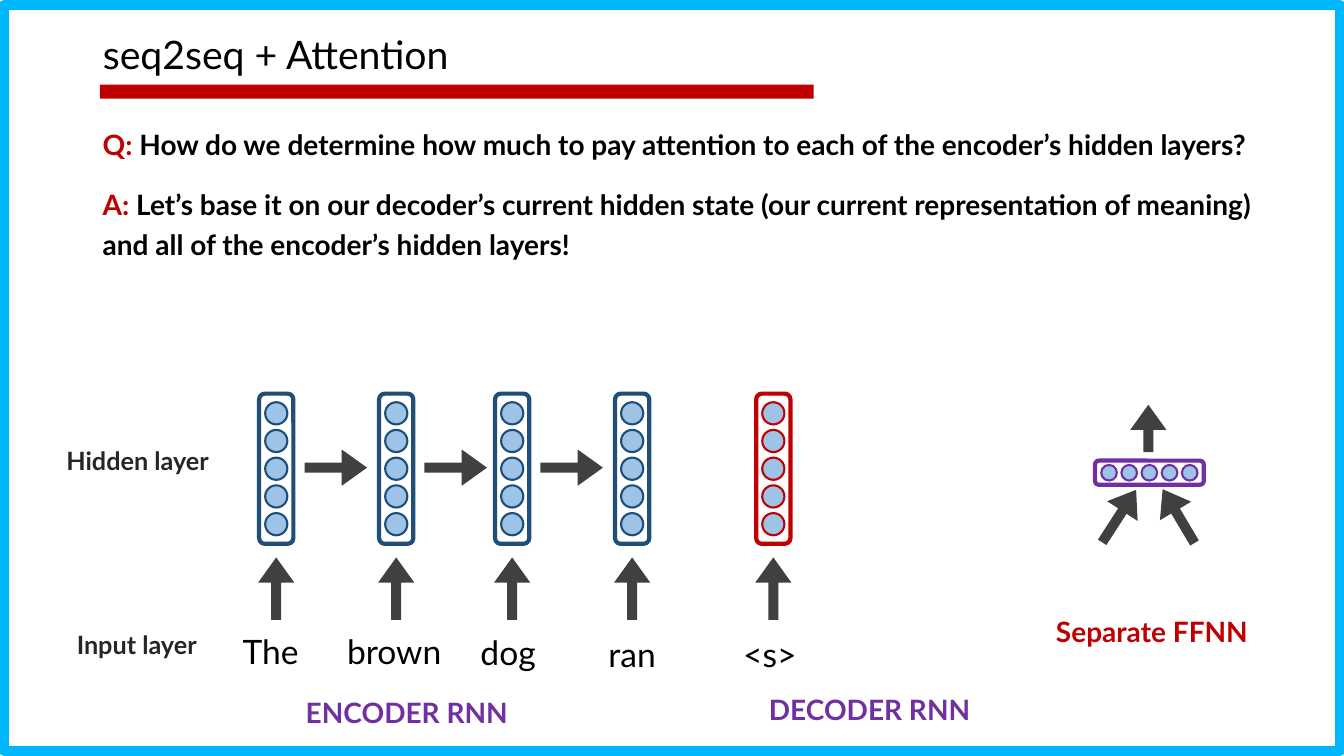
from dataclasses import dataclass

from pptx import Presentation
from pptx.dml.color import RGBColor
from pptx.enum.shapes import MSO_SHAPE
from pptx.enum.text import MSO_ANCHOR, MSO_AUTO_SIZE, PP_ALIGN
from pptx.util import Inches, Pt

RECTANGLE, ROUNDED = MSO_SHAPE.RECTANGLE, MSO_SHAPE.ROUNDED_RECTANGLE
OVAL, ARROW = MSO_SHAPE.OVAL, MSO_SHAPE.RIGHT_ARROW
LEFT, CENTER, RIGHT = PP_ALIGN.LEFT, PP_ALIGN.CENTER, PP_ALIGN.RIGHT
TITLE_ONLY = 5
UP = 270
NEURONS = 5


@dataclass(frozen=True)
class Theme:
    font: str = "Lato"
    title_size: int = 28
    word_size: int = 24
    text_size: int = 20
    label_size: int = 18
    black: str = "000000"
    label: str = "262626"
    frame: str = "00B6FC"
    red: str = "C00000"
    purple: str = "7030A0"
    encoder: str = "1F4E79"
    neuron: str = "9DC3E6"
    arrow: str = "404040"


THEME = Theme()

# Word, centre of its column, then left, top and width of its text box
ENCODER_INPUTS = [
    ("The", 2.74, 2.29, 6.13, 0.77, RIGHT),
    ("brown", 3.93, 3.23, 6.13, 1.36, CENTER),
    ("dog", 5.08, 4.36, 6.14, 1.36, CENTER),
    ("ran", 6.27, 5.59, 6.16, 1.36, CENTER),
]
DECODER_INPUT = ("<s>", 7.67, 7.24, 6.16, 0.79, CENTER)
LAYER_Y = 4.65


def color(value):
    return RGBColor.from_string(value)


def set_font(font, size, ink, bold=False):
    font.name = THEME.font
    font.size = Pt(size)
    font.bold = bold
    font.color.rgb = color(ink)


def add_box(shapes, kind, left, top, width, height, fill=None, line=None, weight=1.5):
    box = shapes.add_shape(kind, Inches(left), Inches(top), Inches(width), Inches(height))
    box.shadow.inherit = False
    if fill:
        box.fill.solid()
        box.fill.fore_color.rgb = color(fill)
    else:
        box.fill.background()
    if line:
        box.line.color.rgb = color(line)
        box.line.width = Pt(weight)
    else:
        box.line.fill.background()
    return box


def add_text(slide, text, left, top, width, height, size, ink,
             bold=True, align=CENTER, lead=""):
    box = slide.shapes.add_textbox(Inches(left), Inches(top), Inches(width), Inches(height))
    box.text_frame.word_wrap = True
    paragraph = box.text_frame.paragraphs[0]
    paragraph.alignment = align
    paragraph.line_spacing = 1.2
    if lead:
        lead_run = paragraph.add_run()
        lead_run.text = lead
        lead_run.font.color.rgb = color(THEME.red)
    paragraph.add_run().text = text
    set_font(paragraph.font, size, ink, bold)


def add_arrow(slide, center_x, center_y, rotation=0, length=0.62):
    breadth = 0.36
    arrow = add_box(slide.shapes, ARROW, center_x - length / 2, center_y - breadth / 2,
                    length, breadth, fill=THEME.arrow)
    arrow.adjustments[0] = 0.276
    arrow.adjustments[1] = 0.696
    arrow.rotation = rotation


def add_layer(slide, center_x, center_y, width, height, diameter, pitch, outline):
    """Rounded cell whose neurons run along its longer side."""
    shapes = slide.shapes.add_group_shape().shapes
    add_box(shapes, ROUNDED, center_x - width / 2, center_y - height / 2,
            width, height, line=outline, weight=3)
    for index in range(NEURONS):
        offset = (index - (NEURONS - 1) / 2) * pitch
        x, y = (offset, 0) if width > height else (0, offset)
        add_box(shapes, OVAL, center_x + x - diameter / 2, center_y + y - diameter / 2,
                diameter, diameter, fill=THEME.neuron, line=outline)


def add_step(slide, step, outline):
    word, center_x, left, top, width, align = step
    add_layer(slide, center_x, LAYER_Y, 0.34, 1.49, 0.22, 0.275, outline)
    add_arrow(slide, center_x, 5.84, UP)
    add_text(slide, word, left, top, width, 0.55, THEME.word_size, THEME.black,
             bold=False, align=align)


def add_title(slide, text):
    title = slide.shapes.title
    title.left, title.top = Inches(0.92), Inches(0.3)
    title.width, title.height = Inches(9.78), Inches(0.75)
    frame = title.text_frame
    frame.text = text
    frame.auto_size = MSO_AUTO_SIZE.NONE
    frame.vertical_anchor = MSO_ANCHOR.TOP
    paragraph = frame.paragraphs[0]
    paragraph.alignment = LEFT
    paragraph.line_spacing = 0.9
    set_font(paragraph.font, THEME.title_size, THEME.black)


def add_ffnn(slide):
    center_x = 11.4
    add_layer(slide, center_x, 4.69, 1.08, 0.24, 0.155, 0.2, THEME.purple)
    add_arrow(slide, 11.1, 5.12, 302.9)
    add_arrow(slide, 11.69, 5.12, 239.3)
    add_arrow(slide, 11.39, 4.25, UP, length=0.47)
    add_text(slide, "Separate FFNN", 10.02, 5.98, 2.81, 0.52, THEME.text_size, THEME.red)


def main():
    presentation = Presentation()
    presentation.slide_width, presentation.slide_height = Inches(13.33), Inches(7.5)
    slide = presentation.slides.add_slide(presentation.slide_layouts[TITLE_ONLY])

    # Frame, title and rule
    add_box(slide.shapes, RECTANGLE, 0.04, 0.05, 13.25, 7.4, line=THEME.frame, weight=7)
    add_box(slide.shapes, RECTANGLE, 0.99, 0.84, 7.08, 0.14, fill=THEME.red)
    add_title(slide, "seq2seq + Attention")

    # Question and answer
    add_text(slide, "How do we determine how much to pay attention to each of the "
             "encoder’s hidden layers?", 0.92, 1.15, 11.8, 0.52,
             THEME.text_size, THEME.black, align=LEFT, lead="Q: ")
    add_text(slide, "Let’s base it on our decoder’s current hidden state (our current "
             "representation of meaning) and all of the encoder’s hidden layers!",
             0.92, 1.74, 11.8, 0.93, THEME.text_size, THEME.black, align=LEFT, lead="A: ")

    # Row labels
    add_text(slide, "Hidden layer", 0.27, 4.31, 1.9, 0.52,
             THEME.label_size, THEME.label, align=RIGHT)
    add_text(slide, "Input layer", 0.38, 6.13, 1.67, 0.52,
             THEME.label_size, THEME.label, align=RIGHT)

    # Encoder, with an arrow from each hidden layer to the next
    for step in ENCODER_INPUTS:
        add_step(slide, step, THEME.encoder)
    for step in ENCODER_INPUTS[:-1]:
        add_arrow(slide, step[1] + 0.59, 4.64)
    add_text(slide, "ENCODER RNN", 2.63, 6.78, 2.81, 0.52, THEME.text_size, THEME.purple)

    # Decoder
    add_step(slide, DECODER_INPUT, THEME.red)
    add_text(slide, "DECODER RNN", 7.22, 6.75, 2.81, 0.52, THEME.text_size, THEME.purple)

    # Feed-forward network
    add_ffnn(slide)

    presentation.save("out.pptx")


if __name__ == "__main__":
    main()
